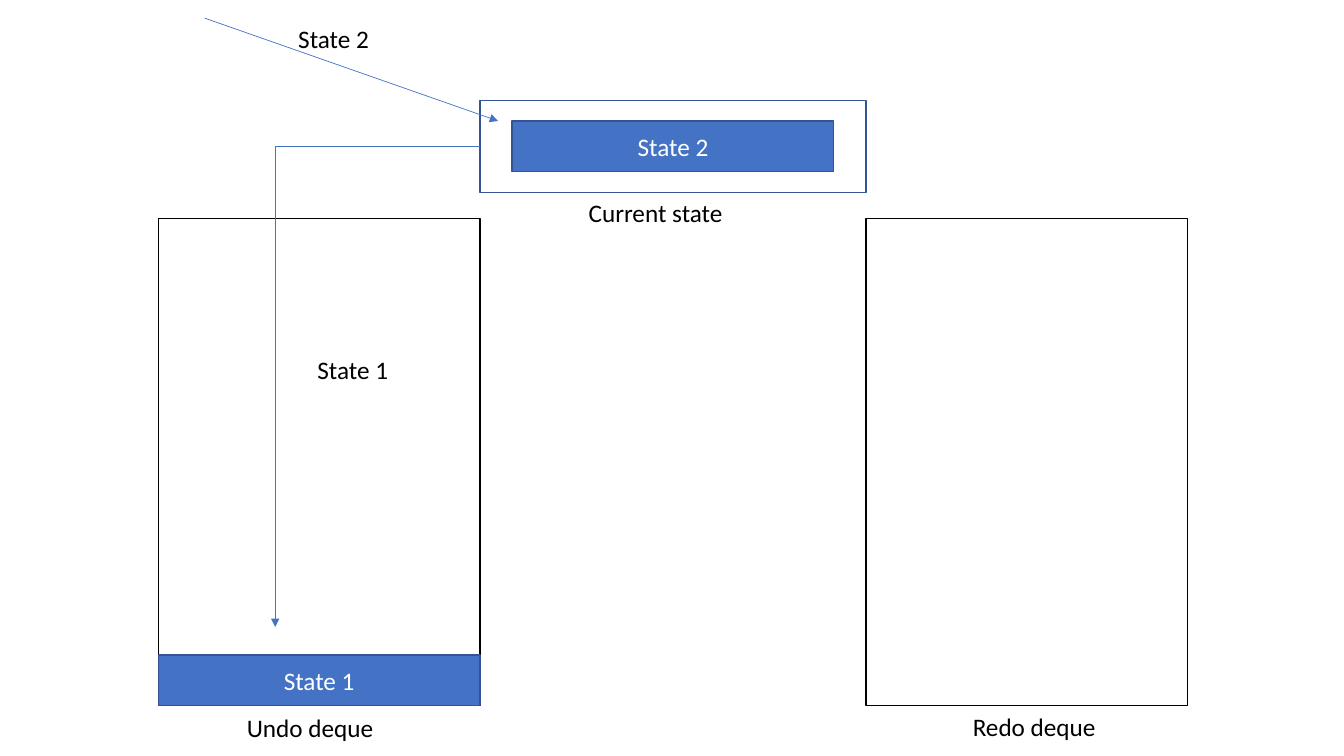
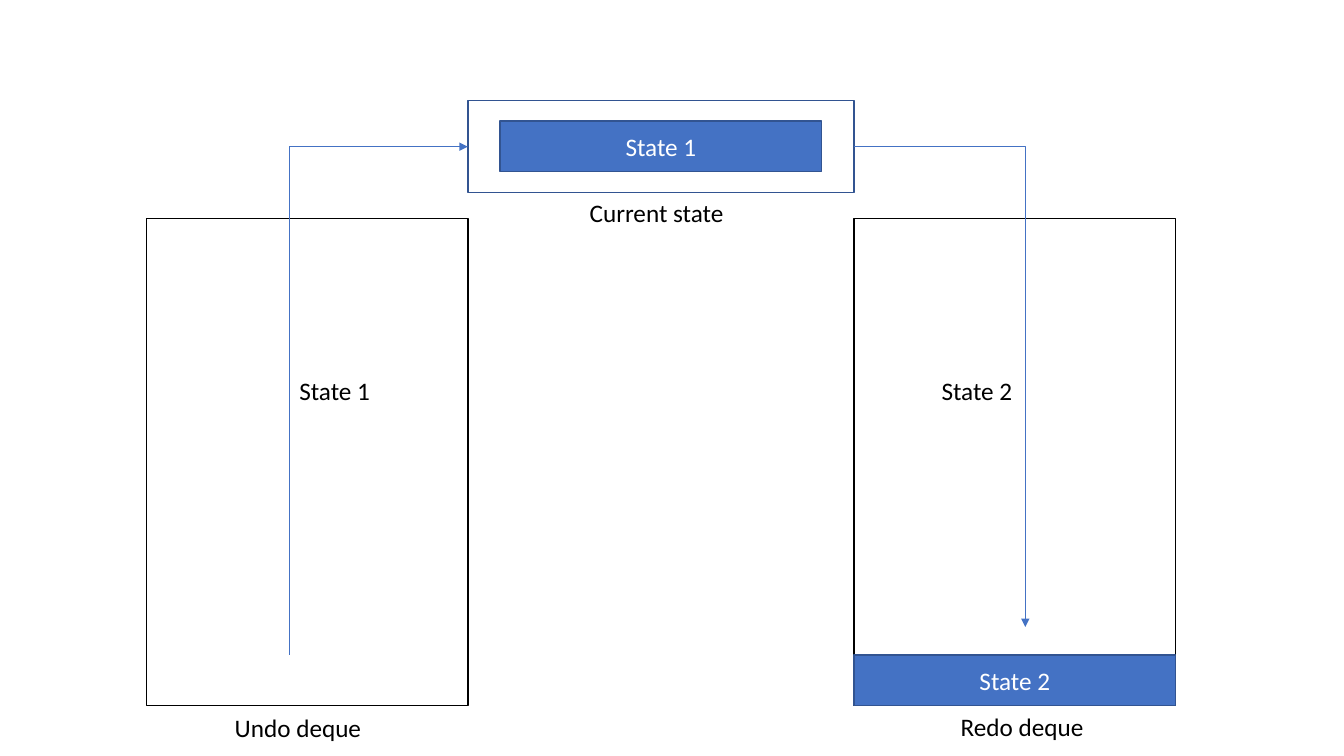
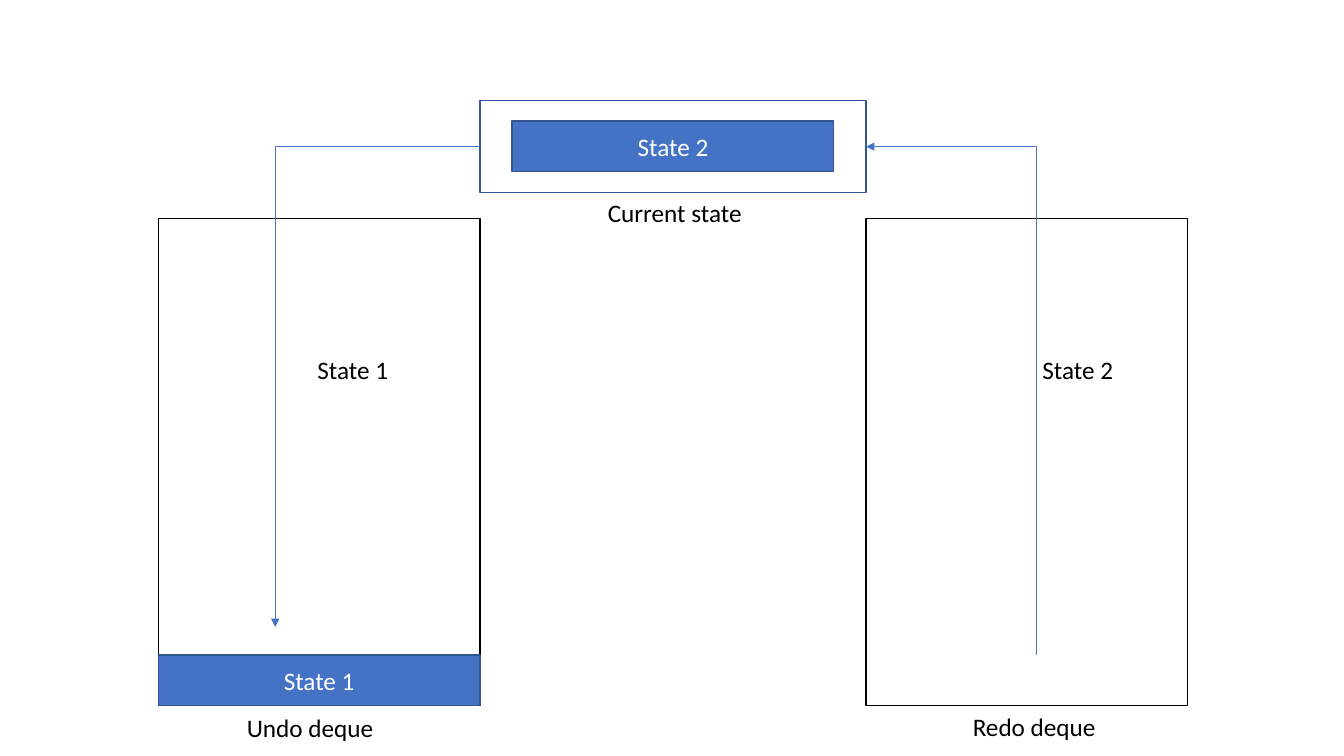
import dataclasses
import pptx
import pptx.dml.color
import pptx.enum.shapes
import pptx.enum.text
import pptx.oxml
import pptx.oxml.ns
import pptx.util

Inches = pptx.util.Inches
Pt = pptx.util.Pt
qn = pptx.oxml.ns.qn
Kind = pptx.enum.shapes.MSO_CONNECTOR
Align = pptx.enum.text.PP_ALIGN


@dataclasses.dataclass(frozen=True)
class Theme:
    font: str = "Calibri"
    size: float = 18
    ink: str = "000000"
    light: str = "FFFFFF"
    blue: str = "4472C4"
    edge: str = "325491"
    border: float = 1
    wire: float = 0.5


theme = Theme()
LEFT, RIGHT = 1, 3
WIDE, TALL = 3.19, 4.83
ROW = 0.5


def paint(text):
    return pptx.dml.color.RGBColor.from_string(text)


def write(frame, text, color=theme.ink, align=Align.LEFT):
    frame.word_wrap = True
    para = frame.paragraphs[0]
    para.alignment = align
    run = para.add_run()
    run.text = text
    run.font.name = theme.font
    run.font.size = Pt(theme.size)
    run.font.color.rgb = paint(color)


def label(slide, text, x, y):
    box = slide.shapes.add_textbox(*map(Inches, (x, y, 2.23, 0.4)))
    box.text_frame.auto_size = pptx.enum.text.MSO_AUTO_SIZE.SHAPE_TO_FIT_TEXT
    write(box.text_frame, text)


def rect(slide, x, y, w, h, line, fill=None):
    shape = slide.shapes.add_shape(
        pptx.enum.shapes.MSO_SHAPE.RECTANGLE, *map(Inches, (x, y, w, h)))
    shape.shadow.inherit = False
    shape.line.color.rgb = paint(line)
    shape.line.width = Pt(theme.border)
    if fill:
        shape.fill.solid()
        shape.fill.fore_color.rgb = paint(fill)
    else:
        shape.fill.background()
    return shape


def state(slide, text, x, y):
    shape = rect(slide, x, y, WIDE, ROW, theme.edge, theme.blue)
    shape.text_frame.vertical_anchor = pptx.enum.text.MSO_ANCHOR.MIDDLE
    write(shape.text_frame, text, color=theme.light, align=Align.CENTER)


def deque(slide, name, x, y, inset, drop, item=None):
    rect(slide, x, y, WIDE, TALL, theme.ink)
    label(slide, name, x + inset, y + TALL + drop)
    if item:
        state(slide, item, x, y + TALL - ROW)


def current(slide, item, x, y, shift):
    box = rect(slide, x, y, 3.83, 0.91, theme.edge)
    state(slide, item, x + 0.32, y + 0.2)
    label(slide, "Current state", x + shift, y + 0.91)
    return box


def arrow(slide, kind, start, end, tip="tailEnd"):
    link = slide.shapes.add_connector(kind, *map(Inches, start + end))
    link.line.color.rgb = paint(theme.blue)
    link.line.width = Pt(theme.wire)
    mark = pptx.oxml.parse_xml(
        f'<a:{tip} {pptx.oxml.ns.nsdecls("a")} type="triangle"/>')
    link.line._get_or_add_ln().append(mark)
    prop = link._element.spPr
    prop.append(prop.makeelement(qn("a:effectLst"), {}))
    return link


def elbow(slide, box, side, x, push):
    edge = box.left + (box.width if side == RIGHT else 0)
    start = (edge / Inches(1), 1.45)
    end = (x, 6.22 if push else 6.5)
    link = arrow(slide, Kind.ELBOW, start, end, "tailEnd" if push else "headEnd")
    link._element.spPr.find(qn("a:prstGeom")).set("prst", "bentConnector2")
    link.begin_connect(box, side)


def scene(deck, x, now, shift, undo=None, redo=None):
    slide = deck.slides.add_slide(deck.slide_layouts[6])
    far = x + WIDE + 3.83
    deque(slide, "Undo deque", x, 2.17, 0.78, 0.02, undo)
    deque(slide, "Redo deque", far, 2.17, 0.96, 0.01, redo)
    box = current(slide, now, x + WIDE, 1, shift)
    return slide, box


def enter(deck):
    slide, box = scene(deck, 1.57, "State 2", 0.98, undo="State 1")
    elbow(slide, box, LEFT, 2.73, push=True)
    arrow(slide, Kind.STRAIGHT, (2.03, 0.18), (4.94, 1.2))
    label(slide, "State 1", 3.05, 3.47)
    label(slide, "State 2", 2.86, 0.18)


def revert(deck):
    slide, box = scene(deck, 1.45, "State 1", 1.11, redo="State 2")
    elbow(slide, box, LEFT, 2.87, push=False)
    elbow(slide, box, RIGHT, 10.17, push=True)
    label(slide, "State 1", 2.87, 3.67)
    label(slide, "State 2", 9.24, 3.67)


def repeat(deck):
    slide, box = scene(deck, 1.57, "State 2", 1.17, undo="State 1")
    elbow(slide, box, LEFT, 2.73, push=True)
    elbow(slide, box, RIGHT, 10.28, push=False)
    label(slide, "State 1", 3.05, 3.47)
    label(slide, "State 2", 10.24, 3.47)


deck = pptx.Presentation()
deck.slide_width = Inches(13.33)
deck.slide_height = Inches(7.5)
for build in (enter, revert, repeat):
    build(deck)
deck.save("out.pptx")
